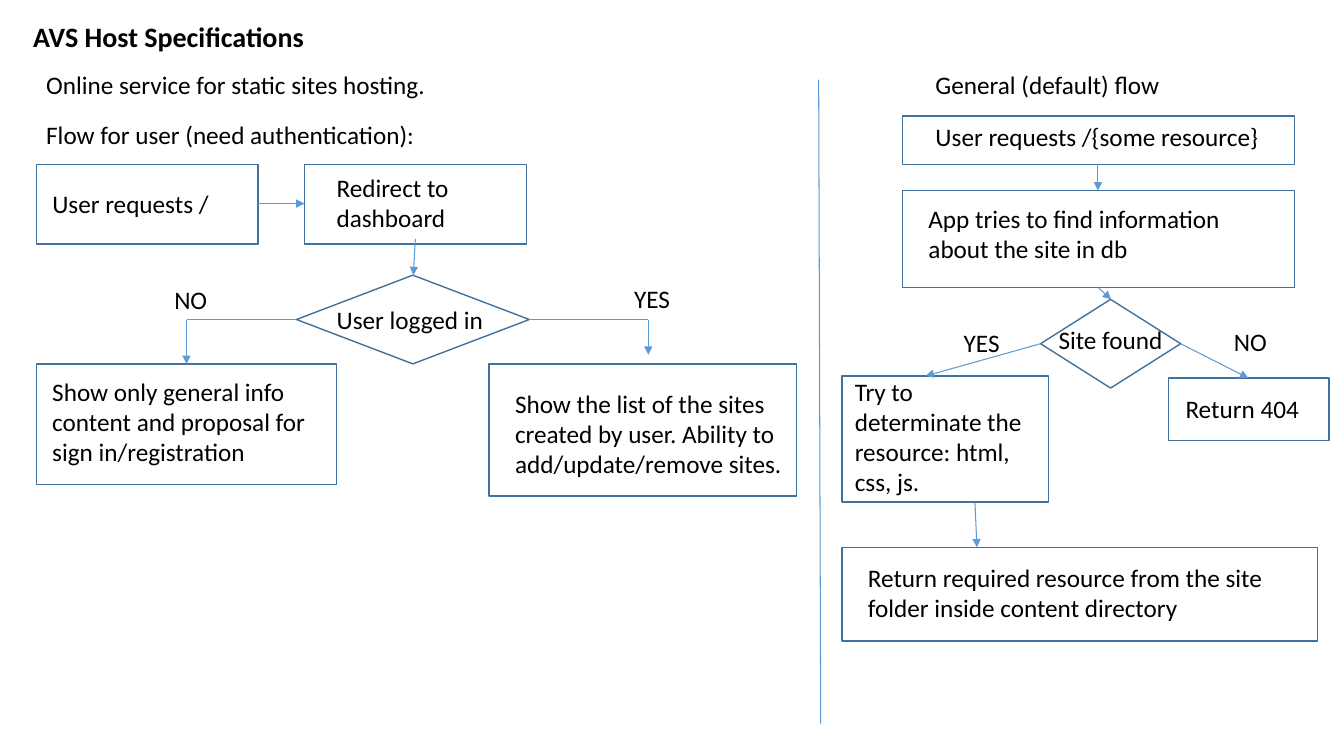
import pptx
import pptx.util
import pptx.dml.color
import pptx.enum.shapes
import pptx.enum.text
import pptx.oxml
import pptx.oxml.ns
from pptx.util import Inches

COLORS = {"text": "000000", "outline": "42719B", "flow": "5B9BD5"}
RECT = pptx.enum.shapes.MSO_SHAPE.RECTANGLE
DIAMOND = pptx.enum.shapes.MSO_SHAPE.DIAMOND


def rgb(name):
    """Return the named colour."""
    return pptx.dml.color.RGBColor.from_string(COLORS[name])


class FlowSlide:
    """Holds the style and the current slide."""

    font = "Calibri"
    body_size = 18
    outline_width = 1
    flow_width = 0.75

    def __init__(self, slide):
        """Keep the slide to draw on."""
        self.shapes = slide.shapes

    def text(self, words, left, top, width, height=0.4, size=body_size, bold=False):
        """Add a left-aligned wrapped text."""
        box = self.shapes.add_textbox(*map(Inches, (left, top, width, height)))
        frame = box.text_frame
        frame.word_wrap = True
        frame.auto_size = pptx.enum.text.MSO_AUTO_SIZE.SHAPE_TO_FIT_TEXT
        run = frame.paragraphs[0].add_run()
        run.text = words
        run.font.name = self.font
        run.font.size = pptx.util.Pt(size)
        run.font.bold = bold
        run.font.color.rgb = rgb("text")

    def step(self, kind, outline, words, label):
        """Add an outlined flow step with its label at its own place."""
        shape = self.shapes.add_shape(kind, *map(Inches, outline))
        shape.shadow.inherit = False
        shape.fill.background()
        shape.line.color.rgb = rgb("outline")
        shape.line.width = pptx.util.Pt(self.outline_width)
        self.text(words, *label)

    def line(self, start, end, arrow=False):
        """Add a straight line, with an arrowhead at its end if wanted."""
        connector = self.shapes.add_connector(
            pptx.enum.shapes.MSO_CONNECTOR.STRAIGHT, *map(Inches, start + end))
        connector.line.color.rgb = rgb("flow")
        connector.line.width = pptx.util.Pt(self.flow_width)
        properties = connector._element.spPr
        if arrow:
            head = pptx.oxml.ns.qn("a:tailEnd")
            connector.line._get_or_add_ln().append(
                properties.makeelement(head, {"type": "triangle"}))
        properties.append(properties.makeelement(pptx.oxml.ns.qn("a:effectLst"), {}))

    def route(self, *points):
        """Join points by lines and put an arrowhead at the last one."""
        for start, end in zip(points, points[1:]):
            self.line(start, end, arrow=end is points[-1])


deck = pptx.Presentation()
deck.slide_width, deck.slide_height = Inches(13.33), Inches(7.5)
flow = FlowSlide(deck.slides.add_slide(deck.slide_layouts[6]))

# Headings
flow.text("AVS Host Specifications", 0.23, 0.14, 8.72, 0.44, size=20, bold=True)
flow.text("Online service for static sites hosting.", 0.36, 0.64, 7.45)
flow.text("Flow for user (need authentication):", 0.36, 1.13, 7.45)
flow.text("General (default) flow", 9.18, 0.64, 4)
flow.line((8.12, 0.79), (8.14, 7.18))

# Steps: kind, outline, words, place of the label
STEPS = [
    (RECT, (0.36, 1.63, 2.2, 0.79), "User requests /", (0.42, 1.82, 1.89)),
    (RECT, (3.02, 1.63, 2.2, 0.79), "Redirect to dashboard", (3.24, 1.66, 1.76, 0.71)),
    (DIAMOND, (2.94, 2.73, 2.31, 0.88), "User logged in", (3.24, 2.97, 1.71)),
    (RECT, (0.36, 3.61, 2.98, 1.2),
     "Show only general info content and proposal for sign in/registration",
     (0.42, 3.68, 3.07, 1.01)),
    (RECT, (4.85, 3.61, 3.05, 1.31),
     "Show the list of the sites created by user. Ability to add/update/remove sites.",
     (5.01, 3.8, 2.96, 1.01)),
    (RECT, (8.95, 1.15, 3.89, 0.48), "User requests /{some resource}", (9.18, 1.15, 3.69)),
    (RECT, (8.95, 1.89, 3.89, 0.96), "App tries to find information about the site in db",
     (9.11, 1.97, 3.59, 0.71)),
    (DIAMOND, (10.32, 2.97, 1.39, 0.88), "Site found", (10.4, 3.17, 1.49)),
    (RECT, (8.35, 3.73, 2.05, 1.25), "Try to determinate the resource: html, css, js.",
     (8.38, 3.68, 1.9, 1.31)),
    (RECT, (11.59, 3.75, 1.59, 0.62), "Return 404", (11.66, 3.85, 1.41)),
    (RECT, (8.35, 5.43, 4.72, 0.93),
     "Return required resource from the site folder inside content directory",
     (8.51, 5.53, 4.43, 0.71)),
]
for step in STEPS:
    flow.step(*step)

# Answers beside the two decisions
for answer, left, top in [("NO", 1.63, 2.77), ("YES", 6.19, 2.76),
                          ("YES", 9.46, 3.2), ("NO", 12.14, 3.19)]:
    flow.text(answer, left, top, 1.19)

# Routes of the user flow, then of the general flow
ROUTES = [
    [(2.56, 2.02), (3.02, 2.02)],
    [(4.12, 2.37), (4.1, 2.73)],
    [(2.94, 3.17), (1.85, 3.17), (1.85, 3.61)],
    [(5.25, 3.17), (6.43, 3.17), (6.43, 3.52)],
    [(10.89, 1.63), (10.89, 1.89)],
    [(10.89, 2.85), (11.02, 2.97)],
    [(10.32, 3.41), (9.18, 3.73)],
    [(11.71, 3.41), (12.38, 3.75)],
    [(9.67, 4.99), (9.69, 5.43)],
]
for points in ROUTES:
    flow.route(*points)

deck.save("out.pptx")
